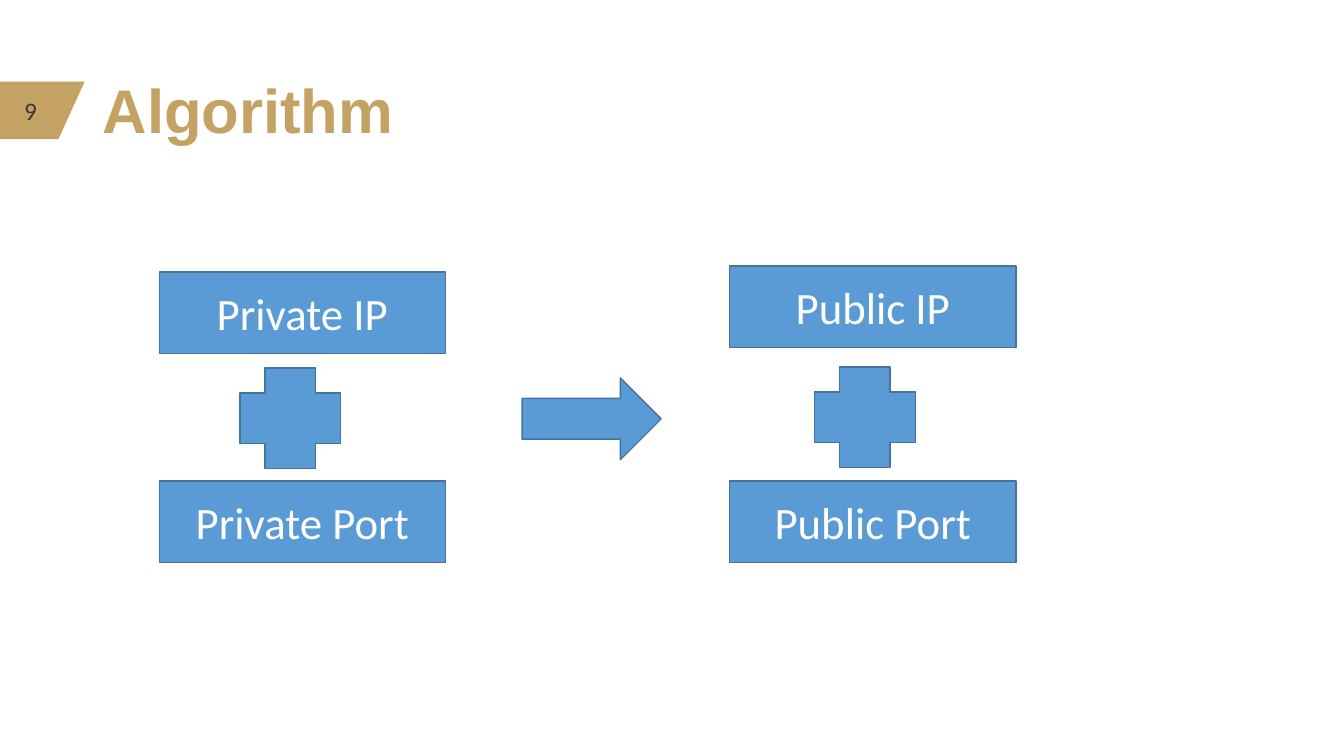
"""Build the Algorithm slide: private IP and port mapped to public IP and port."""
from typing import NamedTuple

from pptx import Presentation
from pptx.dml.color import RGBColor
from pptx.enum.shapes import MSO_SHAPE
from pptx.enum.text import MSO_ANCHOR, PP_ALIGN
from pptx.util import Inches, Pt

RECT, PLUS, ARROW = MSO_SHAPE.RECTANGLE, MSO_SHAPE.CROSS, MSO_SHAPE.RIGHT_ARROW
TOP, MIDDLE = MSO_ANCHOR.TOP, MSO_ANCHOR.MIDDLE
LEFT, CENTER = PP_ALIGN.LEFT, PP_ALIGN.CENTER

GOLD = RGBColor(0xC4, 0xA2, 0x63)
DARK = RGBColor(0x3B, 0x38, 0x38)
BLUE = RGBColor(0x5B, 0x9B, 0xD5)
EDGE = RGBColor(0x43, 0x73, 0x9E)
WHITE = RGBColor(0xFF, 0xFF, 0xFF)

WIDTH, HEIGHT = Inches(13.33), Inches(7.5)
COL, ROW = WIDTH / 100, HEIGHT / 100


class Area(NamedTuple):
    col: float
    row: float
    cols: float
    rows: float

    def emu(self) -> tuple[int, int, int, int]:
        return (round(self.col * COL), round(self.row * ROW),
                round(self.cols * COL), round(self.rows * ROW))


class Block(NamedTuple):
    kind: MSO_SHAPE
    area: Area
    label: str = ""


class Side(NamedTuple):
    name: str
    col: float
    ip_row: float
    plus_col: float
    plus_row: float


SIDES = (Side("Private", 11.85, 36, 17.85, 48.67),
         Side("Public", 54.3, 35.2, 60.6, 48.53))
PORT_ROW = 63.6
BOX_COLS, BLOCK_ROWS = 21.3, 10.8
PLUS_COLS, PLUS_ROWS = 7.5, 13.33
MAPPING_ARROW = Block(ARROW, Area(38.85, 50, 10.35, BLOCK_ROWS))
TAG = ((0, 10.8), (6.3, 10.8), (4.35, 18.4), (0, 18.4))


def write(s, text: str, *, size: float, color: RGBColor, font: str = "Calibri",
          bold: bool = False, align: PP_ALIGN = LEFT, anchor: MSO_ANCHOR = MIDDLE,
          wrap: bool = True, spacing: float = 1.0) -> None:
    tf = s.text_frame
    tf.word_wrap, tf.vertical_anchor = wrap, anchor
    p = tf.paragraphs[0]
    p.alignment, p.line_spacing = align, spacing
    r = p.add_run()
    r.text = text
    r.font.name, r.font.size, r.font.bold = font, Pt(size), bold
    r.font.color.rgb = color


def paint(s, fill: RGBColor, line: RGBColor | None = None) -> None:
    s.shadow.inherit = False
    s.fill.solid()
    s.fill.fore_color.rgb = fill
    if line is None:
        s.line.fill.background()
    else:
        s.line.color.rgb, s.line.width = line, Pt(1)


def add_block(slide, block: Block) -> None:
    s = slide.shapes.add_shape(block.kind, *block.area.emu())
    paint(s, BLUE, EDGE)
    if block.label:
        write(s, block.label, size=32, color=WHITE, align=CENTER)


def add_side(slide, side: Side) -> None:
    for part, row in (("IP", side.ip_row), ("Port", PORT_ROW)):
        area = Area(side.col, row, BOX_COLS, BLOCK_ROWS)
        add_block(slide, Block(RECT, area, f"{side.name} {part}"))
    area = Area(side.plus_col, side.plus_row, PLUS_COLS, PLUS_ROWS)
    add_block(slide, Block(PLUS, area))


def add_header(slide) -> None:
    points = [(round(col * COL), round(row * ROW)) for col, row in TAG]
    builder = slide.shapes.build_freeform(*points[0])
    builder.add_line_segments(points[1:], close=True)
    paint(builder.convert_to_shape(), GOLD)
    number = slide.shapes.add_textbox(*Area(1.05, 12, 3.75, 5.33).emu())
    write(number, "9", size=18, color=DARK, anchor=TOP, wrap=False)
    title = slide.shapes.add_textbox(*Area(6.9, 5.33, 86.25, 19.33).emu())
    write(title, "Algorithm", size=44, color=GOLD, font="Arial", bold=True, spacing=0.9)


def main() -> None:
    prs = Presentation()
    prs.slide_width, prs.slide_height = WIDTH, HEIGHT
    slide = prs.slides.add_slide(prs.slide_layouts[6])
    add_header(slide)
    for side in SIDES:
        add_side(slide, side)
    add_block(slide, MAPPING_ARROW)
    prs.save("out.pptx")


if __name__ == "__main__":
    main()
